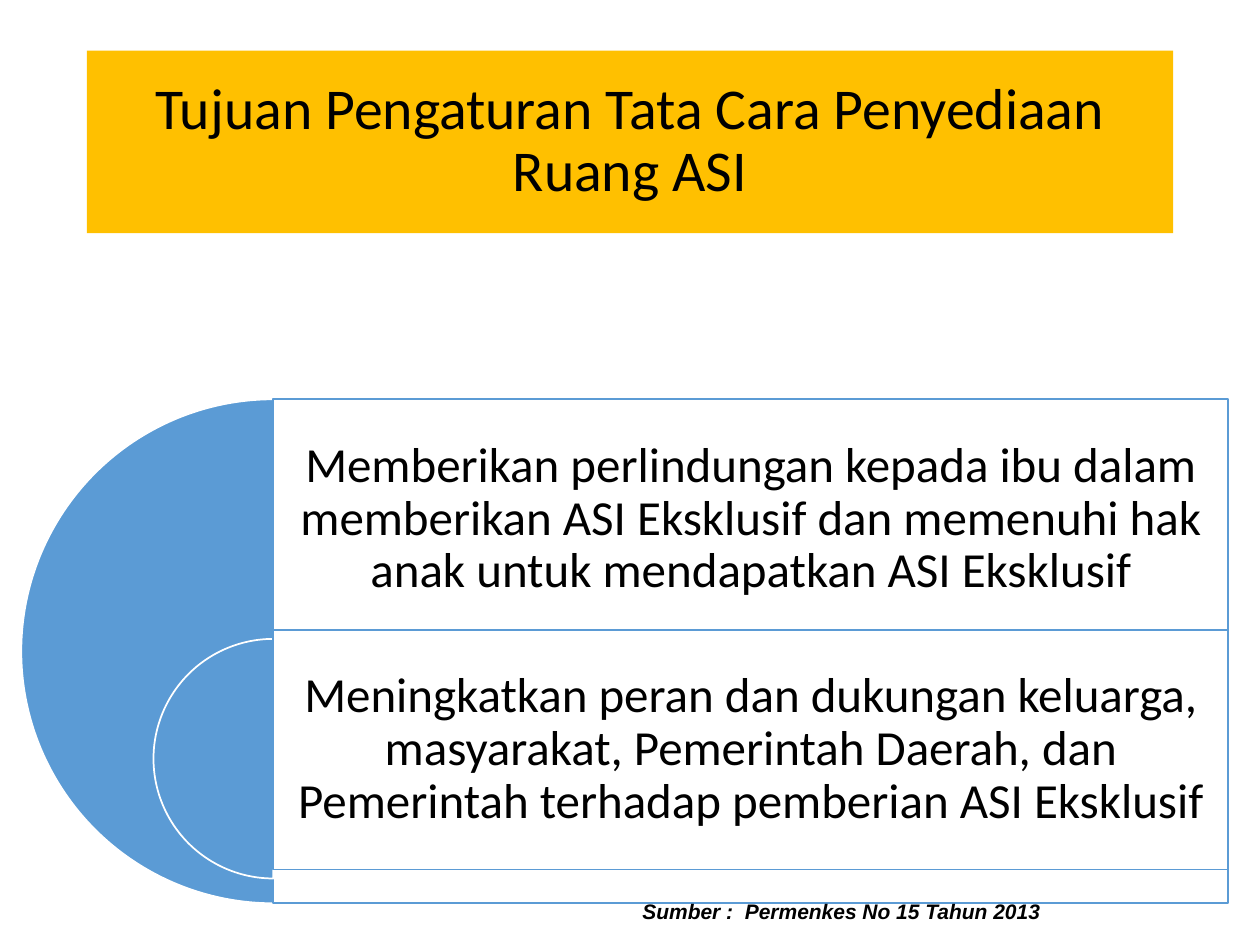
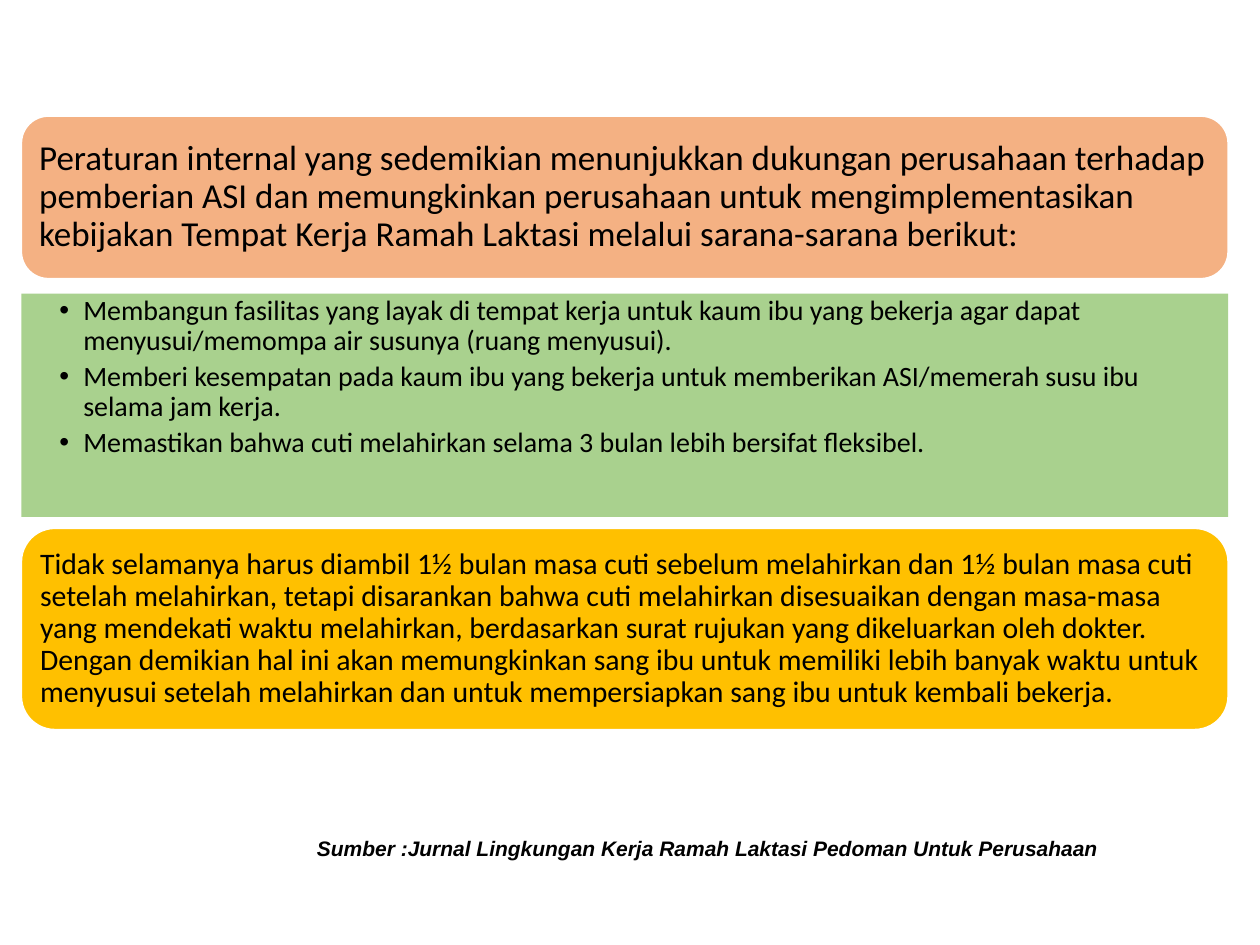
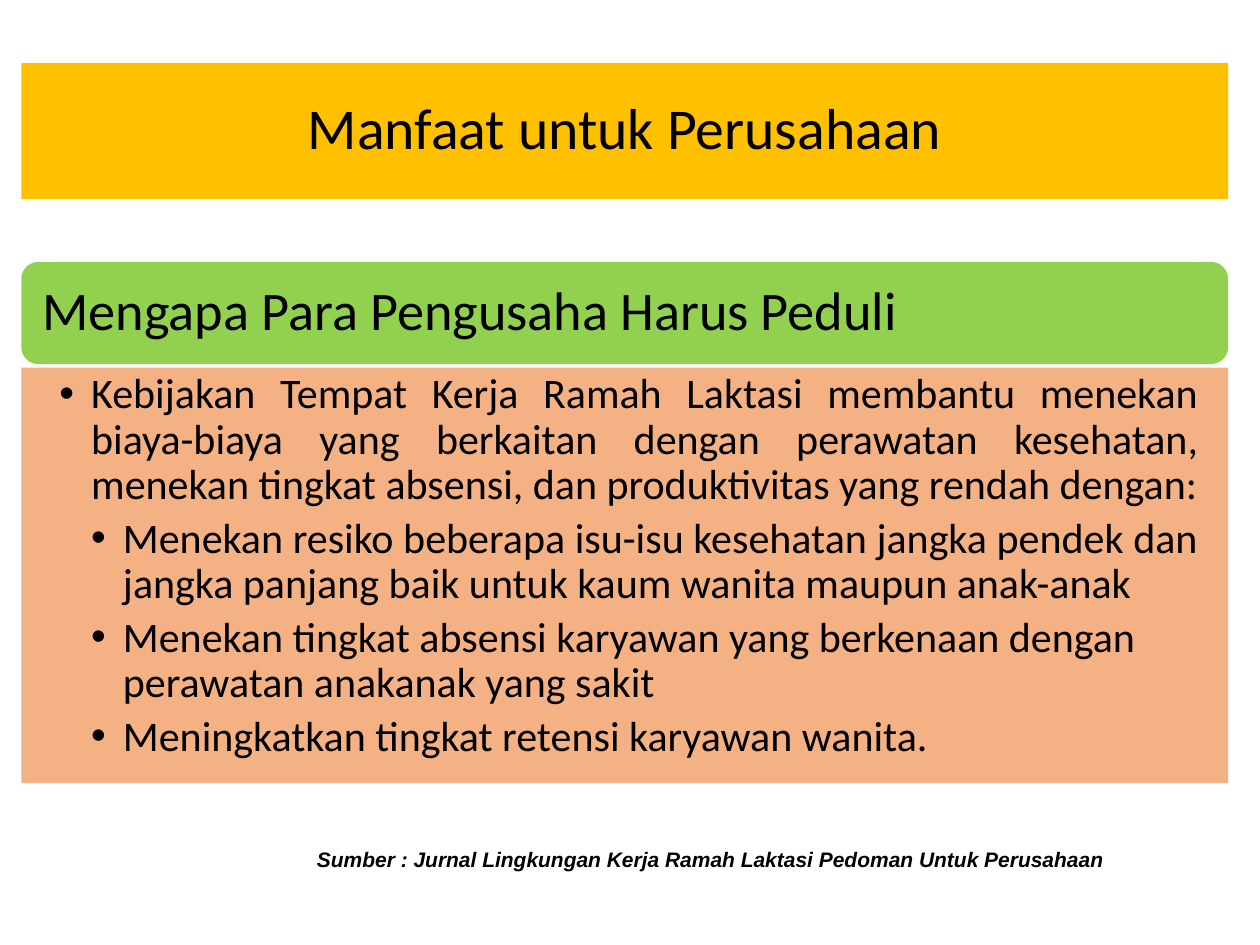
from lxml.etree import SubElement as Sub
from pptx import Presentation
from pptx.dml.color import RGBColor
from pptx.enum.shapes import MSO_SHAPE as Kind
from pptx.enum.text import MSO_ANCHOR as Anchor, PP_ALIGN as Align
from pptx.oxml.ns import qn
from pptx.util import Cm, Pt

# Colours
BLACK = RGBColor(0x00, 0x00, 0x00)
WHITE = RGBColor(0xFF, 0xFF, 0xFF)
GOLD = RGBColor(0xFF, 0xC0, 0x00)
BLUE = RGBColor(0x5B, 0x9B, 0xD5)
PEACH = RGBColor(0xF4, 0xB1, 0x83)
SAGE = RGBColor(0xA9, 0xD1, 0x8E)
GREEN = RGBColor(0x92, 0xD0, 0x50)

# Shared layout, in cm
LEFT, WIDE = 0.43, 24.33
MID = 5.51  # flat edge of the half discs
RIGHT = LEFT + WIDE


def add_form(slide, kind, box, fill, line=None):
    form = slide.shapes.add_shape(kind, *map(Cm, box))
    form.shadow.inherit = False
    form.fill.solid()
    form.fill.fore_color.rgb = fill
    if line is None:
        form.line.fill.background()
    else:
        form.line.color.rgb = line
        form.line.width = Pt(1)
    return form


def set_frame(form, pads, anchor):
    """Pads are left, top, right and bottom, in cm."""
    frame = form.text_frame
    frame.word_wrap = True
    frame.vertical_anchor = anchor
    (frame.margin_left, frame.margin_top,
     frame.margin_right, frame.margin_bottom) = map(Cm, pads)
    return frame


def set_font(para, size, name="Calibri"):
    font = para.font
    font.name, font.size = name, Pt(size)
    font.color.rgb = BLACK
    return font


def add_text(form, text, size, pads, align=Align.LEFT):
    para = set_frame(form, pads, Anchor.MIDDLE).paragraphs[0]
    para.text, para.alignment, para.line_spacing = text, align, 0.9
    set_font(para, size)


def add_title(slide, text, box):
    form = add_form(slide, Kind.RECTANGLE, box, GOLD)
    add_text(form, text, 33, (0.25, 0.13, 0.25, 0.13), Align.CENTER)


def add_card(slide, text, size, top, high, fill, pad, line=None):
    form = add_form(slide, Kind.ROUNDED_RECTANGLE,
                    (LEFT, top, WIDE, high), fill, line)
    add_text(form, text, size, [pad] * 4)


def add_goal(slide, text, top, disc_top, disc, high, low=0):
    """Half disc with a text panel; low keeps the panel's foot empty."""
    half = add_form(slide, Kind.PIE, (MID - disc / 2, disc_top, disc, disc),
                    BLUE, WHITE)
    half.adjustments[0], half.adjustments[1] = 54, 162
    panel = add_form(slide, Kind.RECTANGLE, (MID, top, RIGHT - MID, high),
                     WHITE, BLUE)
    tint = panel.fill._xPr.find(qn("a:solidFill"))[0]
    Sub(tint, qn("a:alpha"), val="90000")
    add_text(panel, text, 28, (0.3, 0.3, 0.3, 0.3 + low), Align.CENTER)


def add_list(slide, items, size, top, high, fill, pads, step):
    """Items are (level, alignment, text); step is the indent in cm."""
    form = add_form(slide, Kind.RECTANGLE, (LEFT, top, WIDE, high), fill)
    frame = set_frame(form, pads, Anchor.TOP)
    for i, (level, align, text) in enumerate(items):
        para = frame.add_paragraph() if i else frame.paragraphs[0]
        para.text, para.alignment, para.level = text, align, level
        para.line_spacing, para.space_after = 0.9, Pt(size * 0.2)
        props = para._p.get_or_add_pPr()
        props.set("marL", str(Cm(step * level)))
        props.set("indent", str(-Cm(step)))
        Sub(props, qn("a:buFont"), typeface="Arial")
        Sub(props, qn("a:buChar"), char="•")
        set_font(para, size)


def add_source(slide, text, left, top, wide):
    note = slide.shapes.add_textbox(*map(Cm, (left, top, wide, 0.77)))
    note.text_frame.word_wrap = True
    para = note.text_frame.paragraphs[0]
    para.text = text
    font = set_font(para, 12, "Arial")
    font.bold = font.italic = True


def show_goals(slide):
    add_title(slide, "Tujuan Pengaturan Tata Cara Penyediaan Ruang ASI",
              (1.75, 1.02, 21.9, 3.68))
    add_goal(slide, "Memberikan perlindungan kepada ibu dalam memberikan "
             "ASI Eksklusif dan memenuhi hak anak untuk mendapatkan "
             "ASI Eksklusif", 8.05, 8.05, 10.16, 10.16, 5.33)
    add_goal(slide, "Meningkatkan peran dan dukungan keluarga, masyarakat, "
             "Pemerintah Daerah, dan Pemerintah terhadap pemberian "
             "ASI Eksklusif", 12.7, 12.88, 4.83, 4.83)
    add_source(slide, "Sumber :  Permenkes No 15 Tahun 2013",
               12.7, 17.98, 12.27)


def show_rules(slide):
    add_card(slide, "Peraturan internal yang sedemikian menunjukkan dukungan "
             "perusahaan terhadap pemberian ASI dan memungkinkan perusahaan "
             "untuk mengimplementasikan kebijakan Tempat Kerja Ramah Laktasi "
             "melalui sarana-sarana berikut:",
             20, 2.34, 3.28, PEACH, 0.2, WHITE)
    means = (
        "Membangun fasilitas yang layak di tempat kerja untuk kaum ibu yang "
        "bekerja agar dapat menyusui/memompa air susunya (ruang menyusui).",
        "Memberi kesempatan pada kaum ibu yang bekerja untuk memberikan "
        "ASI/memerah susu ibu selama jam kerja.",
        "Memastikan bahwa cuti melahirkan selama 3 bulan lebih bersifat "
        "fleksibel.",
    )
    add_list(slide, [(1, Align.LEFT, text) for text in means],
             16, 5.92, 4.5, SAGE, (0.77, 0.05, 0.3, 0.05), 0.48)
    add_card(slide, "Tidak selamanya harus diambil 1½ bulan masa cuti sebelum "
             "melahirkan dan 1½ bulan masa cuti setelah melahirkan, tetapi "
             "disarankan bahwa cuti melahirkan disesuaikan dengan masa-masa "
             "yang mendekati waktu melahirkan, berdasarkan surat rujukan yang "
             "dikeluarkan oleh dokter. Dengan demikian hal ini akan "
             "memungkinkan sang ibu untuk memiliki lebih banyak waktu untuk "
             "menyusui setelah melahirkan dan untuk mempersiapkan sang ibu "
             "untuk kembali bekerja.", 17, 10.65, 4.06, GOLD, 0.18, WHITE)
    add_source(slide, "Sumber :Jurnal Lingkungan Kerja Ramah Laktasi "
               "Pedoman Untuk Perusahaan", 6.14, 16.72, 19.26)


def show_gains(slide):
    add_title(slide, "Manfaat untuk Perusahaan", (LEFT, 1.27, WIDE, 2.74))
    add_card(slide, "Mengapa Para Pengusaha Harus Peduli",
             31, 5.28, 2.06, GREEN, 0.33)
    gains = (
        (1, Align.JUSTIFY, "Kebijakan Tempat Kerja Ramah Laktasi membantu "
         "menekan biaya-biaya yang berkaitan dengan perawatan kesehatan, "
         "menekan tingkat absensi, dan produktivitas yang rendah dengan:"),
        (2, Align.JUSTIFY, "Menekan resiko beberapa isu-isu kesehatan jangka "
         "pendek dan jangka panjang baik untuk kaum wanita maupun anak-anak "),
        (2, Align.LEFT, "Menekan tingkat absensi karyawan yang berkenaan "
         "dengan perawatan anakanak yang sakit"),
        (2, Align.LEFT, "Meningkatkan tingkat retensi karyawan wanita."),
    )
    add_list(slide, gains, 24, 7.41, 8.38, PEACH,
             (0.77, 0.1, 0.6, 0.1), 0.64)
    add_source(slide, "Sumber : Jurnal Lingkungan Kerja Ramah Laktasi "
               "Pedoman Untuk Perusahaan", 6.14, 16.94, 19.26)


def main():
    deck = Presentation()
    deck.slide_width, deck.slide_height = Cm(25.4), Cm(19.05)
    for show in (show_goals, show_rules, show_gains):
        show(deck.slides.add_slide(deck.slide_layouts[6]))
    deck.save("out.pptx")


if __name__ == "__main__":
    main()
